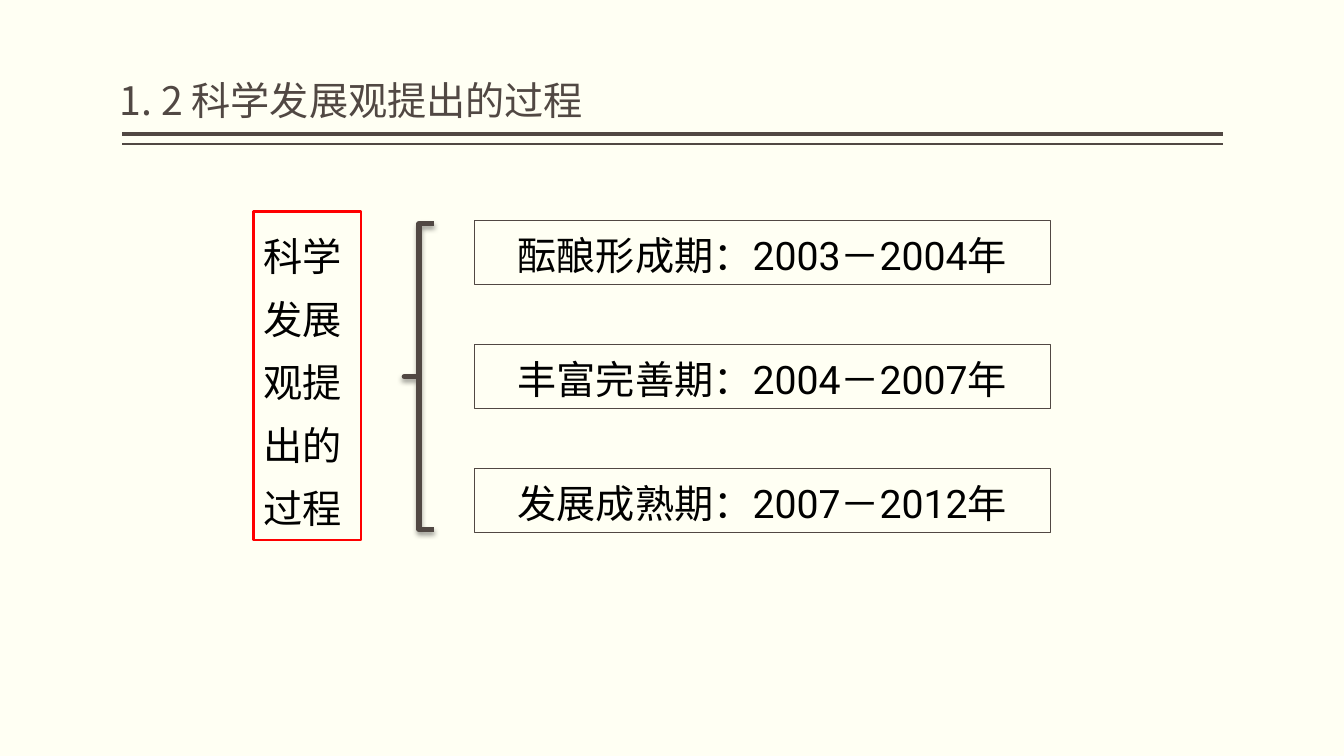
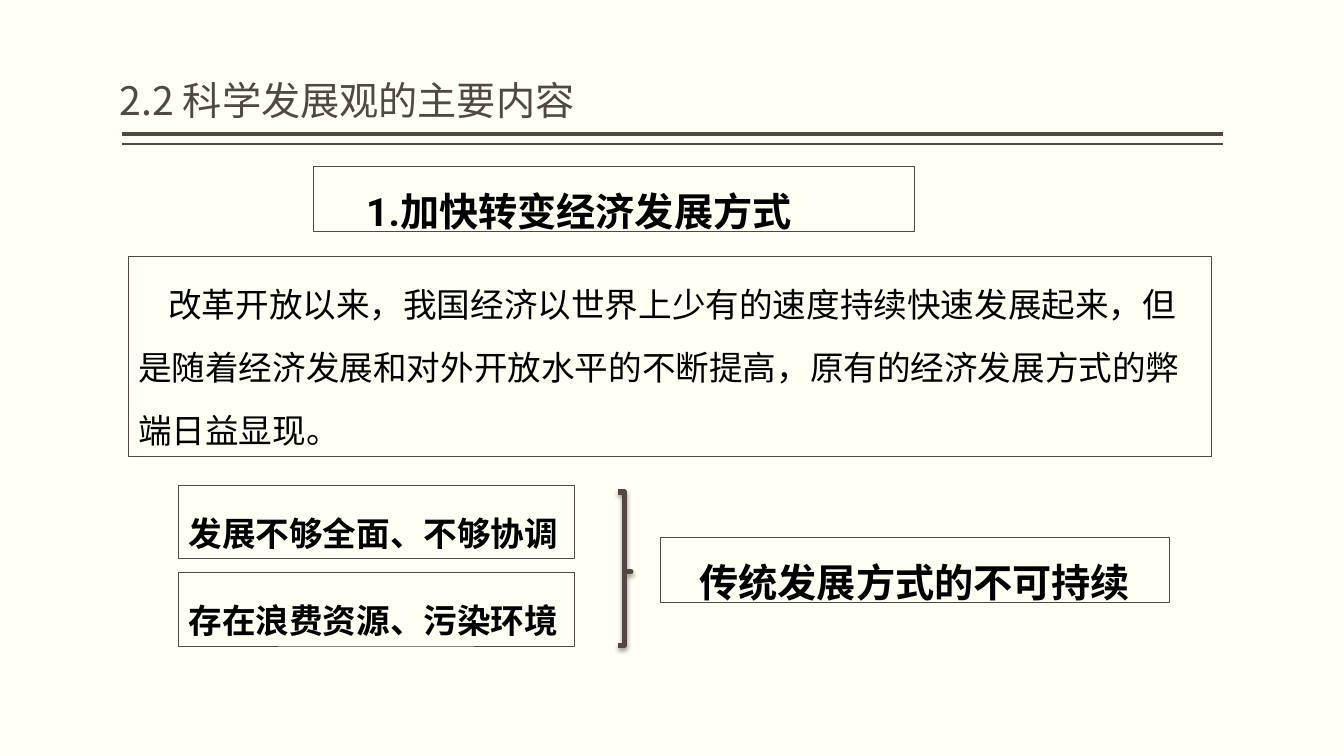
from dataclasses import dataclass

import lxml.etree
import pptx
import pptx.dml.color
import pptx.enum.shapes
import pptx.enum.text
import pptx.oxml.ns
import pptx.presentation
import pptx.slide
import pptx.text.text
import pptx.util

Cm = pptx.util.Cm
Pt = pptx.util.Pt
RGBColor = pptx.dml.color.RGBColor
Shape = pptx.enum.shapes.MSO_SHAPE
Align = pptx.enum.text.PP_ALIGN
Anchor = pptx.enum.text.MSO_ANCHOR
qn = pptx.oxml.ns.qn

IVORY = RGBColor(0xFF, 0xFF, 0xF3)
BROWN = RGBColor(0x51, 0x48, 0x43)
RED = RGBColor(0xFF, 0x00, 0x00)
BLACK = RGBColor(0x00, 0x00, 0x00)
CJK_FONT = "Noto Sans CJK SC"
LATIN_FONT = "Roboto"
TITLE_ONLY = 5


@dataclass(frozen=True)
class Box:
    """A bordered text box; lengths in centimetres, text measures in points."""
    text: str
    left: float
    top: float
    width: float
    height: float
    size: float = 28
    bold: bool = False
    align: Align = Align.LEFT
    spacing: float = 45
    first_indent: float = 0
    border: RGBColor = BROWN
    border_width: float = 0.25


@dataclass(frozen=True)
class Brace:
    """A square-cornered brace; lengths in centimetres."""
    kind: Shape
    left: float
    top: float
    width: float
    height: float
    point: float = 0.5


def style_font(paragraph: pptx.text.text._Paragraph, latin: str, size: float,
               color: RGBColor, bold: bool = False) -> None:
    font = paragraph.font
    font.size, font.bold, font.name = Pt(size), bold, latin
    font.color.rgb = color
    defaults = paragraph._p.get_or_add_pPr().find(qn("a:defRPr"))
    lxml.etree.SubElement(defaults, qn("a:ea"), typeface=CJK_FONT)


def add_titled_slide(deck: pptx.presentation.Presentation,
                     text: str) -> pptx.slide.Slide:
    slide = deck.slides.add_slide(deck.slide_layouts[TITLE_ONLY])

    # Double rule under the title
    for y, weight in ((3.38, 3), (3.63, 1)):
        rule = slide.shapes.add_connector(
            pptx.enum.shapes.MSO_CONNECTOR.STRAIGHT,
            Cm(30.81), Cm(y), Cm(3.07), Cm(y))
        rule.line.color.rgb = BROWN
        rule.line.width = Pt(weight)
        lxml.etree.SubElement(rule._element.spPr, qn("a:effectLst"))

    # Title
    title = slide.shapes.title
    title.left, title.top = Cm(3.02), Cm(0.2)
    title.width, title.height = Cm(27.74), Cm(3.05)
    frame = title.text_frame
    frame.text = text
    frame.word_wrap = True
    frame.auto_size = pptx.enum.text.MSO_AUTO_SIZE.NONE
    frame.vertical_anchor = Anchor.BOTTOM
    frame.margin_left = frame.margin_right = 0
    paragraph = frame.paragraphs[0]
    paragraph.alignment = Align.LEFT
    paragraph.line_spacing = 0.9
    style_font(paragraph, CJK_FONT, 28, BROWN)
    return slide


def add_box(slide: pptx.slide.Slide, box: Box) -> None:
    shape = slide.shapes.add_shape(Shape.RECTANGLE, Cm(box.left), Cm(box.top),
                                   Cm(box.width), Cm(box.height))
    shape.shadow.inherit = False
    shape.fill.background()
    shape.line.color.rgb = box.border
    shape.line.width = Pt(box.border_width)
    frame = shape.text_frame
    frame.text = box.text
    frame.word_wrap = True
    frame.vertical_anchor = Anchor.TOP
    paragraph = frame.paragraphs[0]
    paragraph.alignment = box.align
    paragraph.line_spacing = Pt(box.spacing)
    if box.first_indent:
        paragraph._p.get_or_add_pPr().set("indent", str(Cm(box.first_indent)))
    style_font(paragraph, LATIN_FONT, box.size, BLACK, box.bold)


def add_brace(slide: pptx.slide.Slide, brace: Brace) -> None:
    shape = slide.shapes.add_shape(brace.kind, Cm(brace.left), Cm(brace.top),
                                   Cm(brace.width), Cm(brace.height))
    shape.adjustments[0] = 0
    shape.adjustments[1] = brace.point
    shape.fill.background()
    shape.line.color.rgb = BROWN
    shape.line.width = Pt(3.78)

    # Soft shadow straight below
    shape.shadow.inherit = False
    effects = shape._element.spPr.find(qn("a:effectLst"))
    shadow = lxml.etree.SubElement(
        effects, qn("a:outerShdw"), blurRad=str(Pt(3.5)), dist=str(Pt(2)),
        dir="5400000", rotWithShape="0")
    shade = lxml.etree.SubElement(shadow, qn("a:srgbClr"), val=str(BLACK))
    lxml.etree.SubElement(shade, qn("a:alpha"), val="38000")


def build_process_slide(deck: pptx.presentation.Presentation) -> None:
    slide = add_titled_slide(deck, "1. 2 科学发展观提出的过程")
    add_box(slide, Box("科学发展观提出的过程", 6.38, 5.33, 2.72, 8.28,
                       border=RED, border_width=2))
    add_brace(slide, Brace(Shape.LEFT_BRACE, 10.19, 5.64, 0.74, 7.7))
    periods = ("酝酿形成期：2003－2004年",
               "丰富完善期：2004－2007年",
               "发展成熟期：2007－2012年")
    for row, period in enumerate(periods):
        add_box(slide, Box(period, 11.96, 5.56 + 3.12 * row, 14.5, 1.6,
                           align=Align.CENTER, spacing=38))


def build_content_slide(deck: pptx.presentation.Presentation) -> None:
    slide = add_titled_slide(deck, "2.2 科学发展观的主要内容")
    add_box(slide, Box("1.加快转变经济发展方式", 7.9, 4.19, 15.14, 1.63,
                       bold=True, first_indent=1.08))
    add_box(slide, Box(
        "改革开放以来，我国经济以世界上少有的速度持续快速发展起来，"
        "但是随着经济发展和对外开放水平的不断提高，"
        "原有的经济发展方式的弊端日益显现。",
        3.23, 6.45, 27.3, 5.05, size=24, first_indent=0.76))

    # Symptoms leading to the conclusion
    symptoms = ("发展不够全面、不够协调", "存在浪费资源、污染环境")
    for row, symptom in enumerate(symptoms):
        add_box(slide, Box(symptom, 4.5, 12.22 + 2.21 * row, 9.96, 1.85,
                           size=24, bold=True))
    add_brace(slide, Brace(Shape.RIGHT_BRACE, 15.57, 12.4, 0.33, 3.86, 0.52))
    add_box(slide, Box("传统发展方式的不可持续", 16.64, 13.54, 12.83, 1.63,
                       bold=True, align=Align.CENTER))


def main() -> None:
    deck = pptx.Presentation()
    deck.slide_width, deck.slide_height = Cm(33.87), Cm(19.05)
    backdrop = deck.slide_master.background.fill
    backdrop.solid()
    backdrop.fore_color.rgb = IVORY
    build_process_slide(deck)
    build_content_slide(deck)
    deck.save("out.pptx")


if __name__ == "__main__":
    main()
